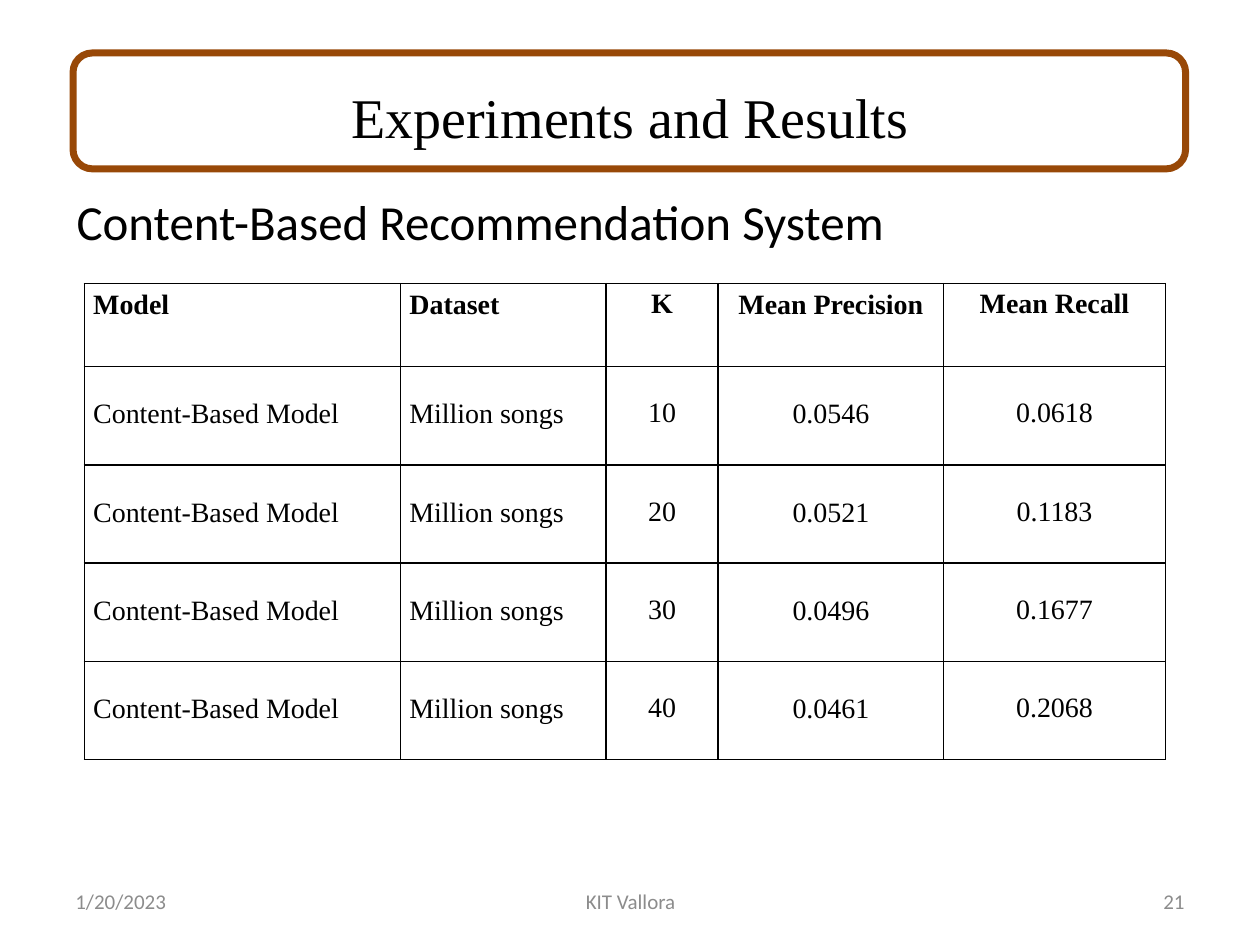
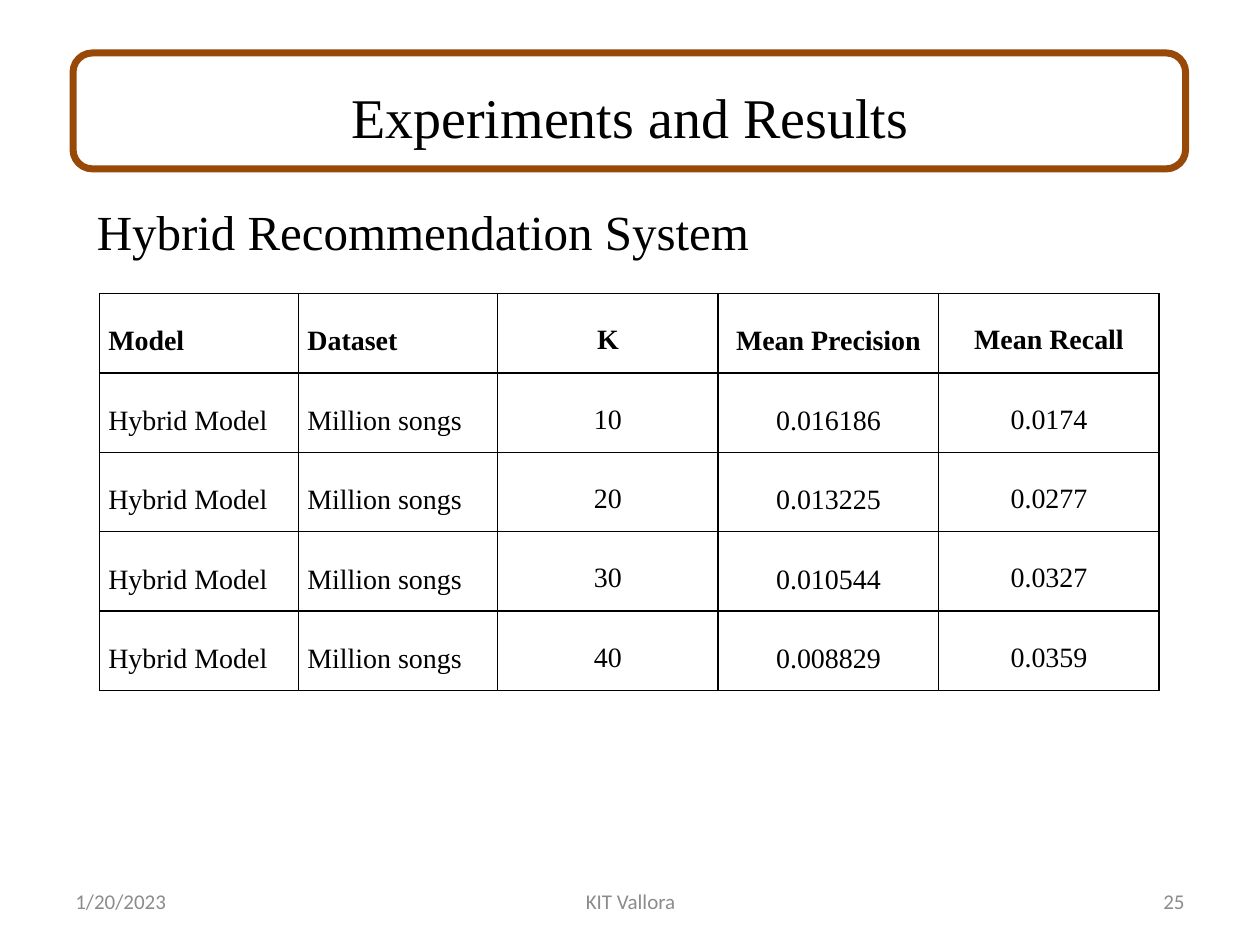
"""Build two result slides, each with a framed title, a subtitle, a table and a footer."""
from dataclasses import dataclass

from lxml import etree
from pptx import Presentation
from pptx import util as u
from pptx.dml.color import RGBColor
from pptx.enum import shapes, text
from pptx.oxml.ns import qn

LEFT, CENTER, RIGHT, JUSTIFY = (
    text.PP_ALIGN.LEFT, text.PP_ALIGN.CENTER, text.PP_ALIGN.RIGHT, text.PP_ALIGN.JUSTIFY)
TOP, MIDDLE = text.MSO_ANCHOR.TOP, text.MSO_ANCHOR.MIDDLE


@dataclass(frozen=True)
class Theme:
    ink: str = "000000"
    muted: str = "8C8C8C"
    frame: str = "984807"
    paper: str = "FFFFFF"
    serif: str = "Times New Roman"
    sans: str = "Calibri"
    title: int = 32
    subtitle: int = 28
    body: int = 16
    footer: int = 12
    frame_width: int = 4
    rule_width: int = 1


class SlideBuilder:
    def __init__(self, deck, theme):
        self.deck = deck
        self.theme = theme
        self.slide = None

    def new_slide(self):
        self.slide = self.deck.slides.add_slide(self.deck.slide_layouts[6])

    def add_words(self, para, words, size, font, color, align=LEFT, bold=False):
        para.alignment = align
        span = para.add_run()
        span.text = words
        span.font.size = u.Pt(size)
        span.font.name = font
        span.font.bold = bold
        span.font.color.rgb = RGBColor.from_string(color)

    def text_box(self, at, words, size, font, color, align=LEFT, anchor=MIDDLE):
        box = self.slide.shapes.add_textbox(*map(u.Inches, at))
        box.text_frame.word_wrap = True
        box.text_frame.vertical_anchor = anchor
        self.add_words(box.text_frame.paragraphs[0], words, size, font, color, align)

    def title(self, words):
        theme = self.theme
        self.text_box((0.5, 0.3, 9, 1.25), words, theme.title, theme.serif, theme.ink, CENTER)
        frame = self.slide.shapes.add_shape(
            shapes.MSO_SHAPE.FLOWCHART_ALTERNATE_PROCESS,
            *map(u.Inches, (0.58, 0.42, 8.83, 0.92)))
        frame.shadow.inherit = False
        frame.fill.background()
        frame.line.color.rgb = RGBColor.from_string(theme.frame)
        frame.line.width = u.Pt(theme.frame_width)

    def subtitle(self, at, words, font):
        self.text_box(at, words, self.theme.subtitle, font, self.theme.ink, anchor=TOP)

    def footer(self, date, place, number):
        parts = ((0.5, 2.33, date, LEFT), (3.42, 3.17, place, CENTER),
                 (7.17, 2.33, number, RIGHT))
        for left, width, words, align in parts:
            self.text_box((left, 6.95, width, 0.4), words, self.theme.footer,
                          self.theme.sans, self.theme.muted, align)

    def borders(self, cell):
        properties = cell._tc.get_or_add_tcPr()
        for index, side in enumerate(("lnL", "lnR", "lnT", "lnB")):
            line = etree.Element(qn(f"a:{side}"), w=str(u.Pt(self.theme.rule_width)))
            fill = etree.SubElement(line, qn("a:solidFill"))
            etree.SubElement(fill, qn("a:srgbClr"), val=self.theme.ink)
            properties.insert(index, line)

    def cell(self, cell, words, align, inset, spacing, bold):
        theme = self.theme
        cell.margin_left = cell.margin_right = u.Inches(inset)
        cell.margin_top = u.Inches(0.01 if inset else 0)
        cell.margin_bottom = 0
        cell.fill.solid()
        cell.fill.fore_color.rgb = RGBColor.from_string(theme.paper)
        para = cell.text_frame.paragraphs[0]
        para.line_spacing = spacing
        self.add_words(para, words, theme.body, theme.serif, theme.ink, align, bold)
        self.borders(cell)

    def table(self, left, top, widths, heights, rows, header_spacing):
        table = self.slide.shapes.add_table(
            len(heights), len(widths),
            *map(u.Inches, (left, top, sum(widths), sum(heights)))).table
        table.first_row = table.horz_banding = False
        for column, width in zip(table.columns, widths):
            column.width = u.Inches(width)
        aligns = (JUSTIFY, JUSTIFY, CENTER, CENTER, CENTER)
        insets = (0.07, 0.07, 0, 0.07, 0)
        for index, (row, height, values) in enumerate(zip(table.rows, heights, rows)):
            row.height = u.Inches(height)
            header = index == 0
            spacing = header_spacing if header else 2.0
            for cell, words, align, inset in zip(row.cells, values, aligns, insets):
                self.cell(cell, words, align, inset, spacing, header)


def result_rows(model, scores):
    header = ("Model", "Dataset", "K", "Mean Precision", "Mean Recall")
    return [header] + [(model, "Million songs", str(10 * step), precision, recall)
                       for step, (precision, recall) in enumerate(scores, 1)]


def main():
    deck = Presentation()
    deck.slide_width, deck.slide_height = u.Inches(10), u.Inches(7.5)
    theme = Theme()
    builder = SlideBuilder(deck, theme)
    content_scores = (("0.0546", "0.0618"), ("0.0521", "0.1183"),
                      ("0.0496", "0.1677"), ("0.0461", "0.2068"))
    hybrid_scores = (("0.016186", "0.0174"), ("0.013225", "0.0277"),
                     ("0.010544", "0.0327"), ("0.008829", "0.0359"))
    results = (
        ("21", "Content-Based Recommendation System", (0.51, 1.47, 8.08, 0.49), theme.sans,
         (0.67, 2.25, (2.51, 1.63, 0.89, 1.79, 1.76), [0.66] + [0.78] * 4,
          result_rows("Content-Based Model", content_scores), 1.15)),
        ("25", "Hybrid Recommendation System", (0.67, 1.55, 6, 0.57), theme.serif,
         (0.79, 2.33, [1.58] * 2 + [1.75] * 3, [0.63] * 5,
          result_rows("Hybrid Model", hybrid_scores), 2.0)),
    )
    for number, subtitle, place, font, table in results:
        builder.new_slide()
        builder.title("Experiments and Results")
        builder.footer("1/20/2023", "KIT Vallora", number)
        builder.subtitle(place, subtitle, font)
        builder.table(*table)
    deck.save("out.pptx")


if __name__ == "__main__":
    main()
